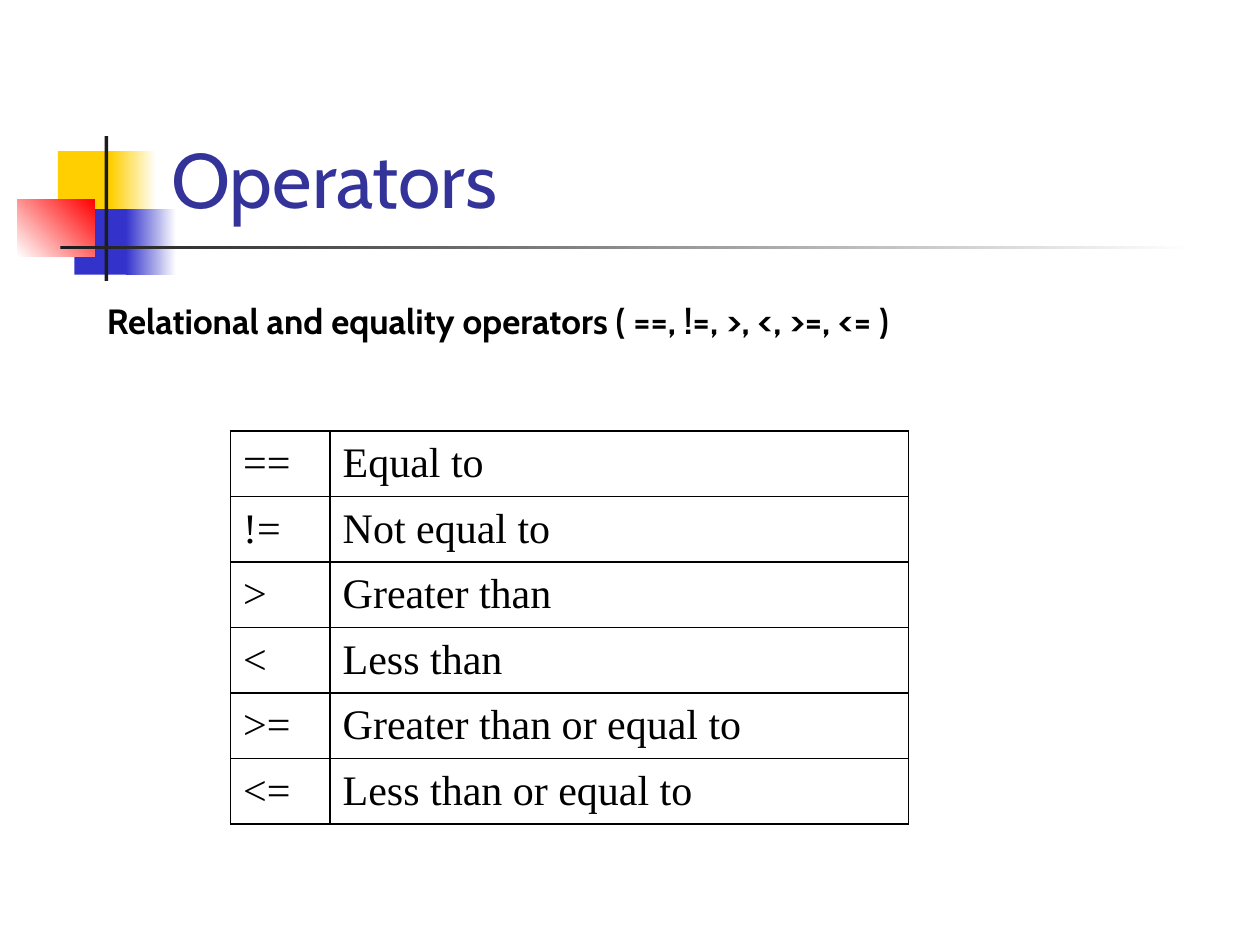
from lxml import etree
from pptx import Presentation
from pptx.dml.color import RGBColor
from pptx.enum import shapes, text
from pptx.oxml.ns import qn
from pptx.util import Inches, Pt

COLORS = {
    "yellow": "FFCF01", "blue": "3333CC", "red": "FF0000", "white": "FFFFFF",
    "rule": "1C1C1C", "title": "333399", "ink": "000000",
}
HEADING_FONT = "Cabin"
TABLE_FONT = "Times New Roman"
OPERATORS = [
    ("==", "Equal to"),
    ("!=", "Not equal to"),
    (">", "Greater than"),
    ("<", "Less than"),
    (">=", "Greater than or equal to"),
    ("<=", "Less than or equal to"),
]


def rgb(name):
    return RGBColor.from_string(COLORS[name])


def style(paragraph, font_name, size, color, bold=False):
    for run in paragraph.runs:
        run.font.name = font_name
        run.font.size = Pt(size)
        run.font.bold = bold
        run.font.color.rgb = rgb(color)


def add_block(slide, left, top, width, height, *colors, angle=0):
    """Add a borderless rectangle, solid for one color and graded for two."""
    block = slide.shapes.add_shape(
        shapes.MSO_SHAPE.RECTANGLE,
        Inches(left), Inches(top), Inches(width), Inches(height))
    block.shadow.inherit = False
    block.line.fill.background()
    if len(colors) == 1:
        block.fill.solid()
        block.fill.fore_color.rgb = rgb(colors[0])
    else:
        block.fill.gradient()
        block.fill.gradient_angle = angle
        for stop, color in zip(block.fill.gradient_stops, colors):
            stop.color.rgb = rgb(color)


def add_ornament(slide, left, top):
    """Add the overlapping squares and the two crossing rules."""
    add_block(slide, left + 0.32, top + 0.12, 0.48, 0.52, "yellow")
    add_block(slide, left + 0.74, top + 0.12, 0.36, 0.52, "yellow", "white")
    add_block(slide, left + 0.45, top + 0.58, 0.46, 0.52, "blue")
    add_block(slide, left + 0.86, top + 0.58, 0.4, 0.52, "blue", "white")
    add_block(slide, left, top + 0.5, 0.61, 0.46, "white", "red", angle=45)
    add_block(slide, left + 0.69, top, 0.03, 1.15, "rule")
    add_block(slide, left + 0.34, top + 0.87, 9, 0.03, "rule", "white")


def set_title(slide, left, top, width, height):
    title = slide.shapes.title
    title.left, title.top = Inches(left), Inches(top)
    title.width, title.height = Inches(width), Inches(height)
    frame = title.text_frame
    frame.text = "Operators"
    frame.vertical_anchor = text.MSO_ANCHOR.BOTTOM
    frame.paragraphs[0].alignment = text.PP_ALIGN.LEFT
    style(frame.paragraphs[0], HEADING_FONT, 44, "title")


def add_subtitle(slide, left, top, width, height):
    subtitle = slide.shapes.add_textbox(
        Inches(left), Inches(top), Inches(width), Inches(height))
    frame = subtitle.text_frame
    frame.word_wrap = True
    frame.text = "Relational and equality operators ( ==, !=, >, <, >=, <= )"
    style(frame.paragraphs[0], HEADING_FONT, 20, "ink", bold=True)


def set_borders(cell):
    """Draw a 1 pt line on each side, placed before the cell's fill."""
    properties = cell._tc.get_or_add_tcPr()
    for index, side in enumerate(("lnL", "lnR", "lnT", "lnB")):
        line = etree.Element(qn(f"a:{side}"), w=str(Pt(1)))
        fill = etree.SubElement(line, qn("a:solidFill"))
        etree.SubElement(fill, qn("a:srgbClr"), val=COLORS["ink"])
        properties.insert(index, line)


def add_operator_table(slide, left, top, column_widths, row_height):
    table = slide.shapes.add_table(
        len(OPERATORS), len(column_widths), Inches(left), Inches(top),
        Inches(sum(column_widths)), Inches(row_height * len(OPERATORS))).table
    table.first_row = table.horz_banding = False
    for column, width in zip(table.columns, column_widths):
        column.width = Inches(width)
    for row, entry in zip(table.rows, OPERATORS):
        row.height = Inches(row_height)
        for cell, words in zip(row.cells, entry):
            cell.text_frame.text = words
            cell.vertical_anchor = text.MSO_ANCHOR.MIDDLE
            cell.fill.background()
            set_borders(cell)
            paragraph = cell.text_frame.paragraphs[0]
            indent = paragraph._p.get_or_add_pPr()
            indent.set("marL", str(Inches(0.38)))
            indent.set("indent", str(-Inches(0.38)))
            style(paragraph, TABLE_FONT, 24, "ink")


def main():
    deck = Presentation()
    deck.slide_width, deck.slide_height = Inches(10), Inches(7.5)
    slide = deck.slides.add_slide(deck.slide_layouts[5])
    add_ornament(slide, 0.14, 1.08)
    set_title(slide, 1.26, 0.23, 8.52, 1.6)
    add_subtitle(slide, 0.75, 2.33, 9.25, 0.77)
    add_operator_table(slide, 1.83, 3.42, (0.79, 4.59), 0.52)
    deck.save("out.pptx")


if __name__ == "__main__":
    main()
